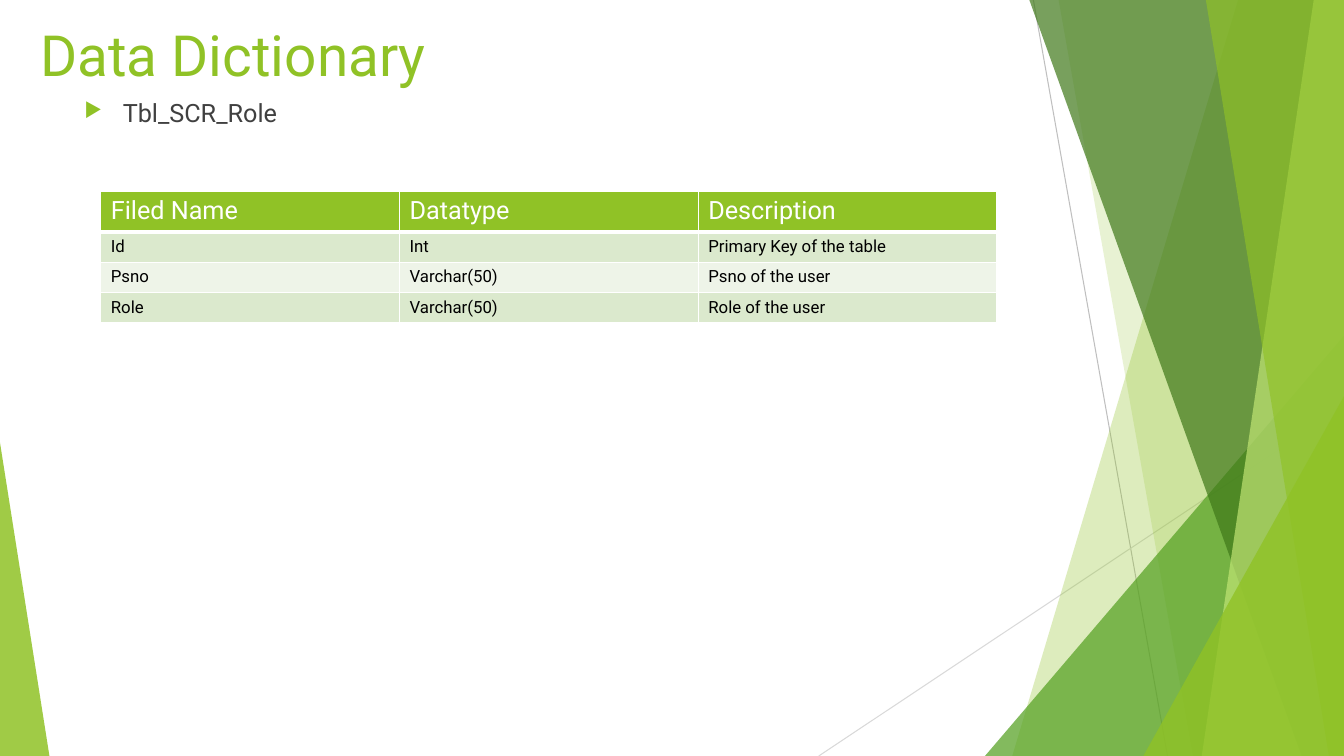
from lxml import etree
from pptx import Presentation
from pptx.dml.color import RGBColor
from pptx.enum.shapes import MSO_CONNECTOR, MSO_SHAPE
from pptx.enum.text import MSO_ANCHOR
from pptx.oxml.ns import qn
from pptx.util import Inches, Pt

STRAIGHT = MSO_CONNECTOR.STRAIGHT
TRIANGLE = MSO_SHAPE.ISOSCELES_TRIANGLE
TOP, BOTTOM = MSO_ANCHOR.TOP, MSO_ANCHOR.BOTTOM

LIME, GREEN, FOREST, PALE = "90C226", "54A021", "3F7819", "C0E474"
WHITE, BLACK, CHARCOAL = "FFFFFF", "000000", "404040"
ROW_TINTS = ["DBE9CD", "EEF4E8"]

HEADER = ["Filed Name", "Datatype", "Description"]
FIELDS = [
    ["Id", "Int", "Primary Key of the table"],
    ["Psno", "Varchar(50)", "Psno of the user"],
    ["Role", "Varchar(50)", "Role of the user"],
]


def rgb(code):
    return RGBColor.from_string(code)


def add_xml(parent, tag, **attributes):
    return etree.SubElement(parent, qn(tag), attributes)


class FacetSlide:
    """Draws on one slide; every length is a percentage of the slide's size."""

    font = "Roboto"

    def __init__(self, deck):
        self.width, self.height = deck.slide_width, deck.slide_height
        self.shapes = deck.slides.add_slide(deck.slide_layouts[6]).shapes

    def x(self, share):
        return round(self.width * share / 100)

    def y(self, share):
        return round(self.height * share / 100)

    def box(self, left, top, width, height):
        return self.x(left), self.y(top), self.x(width), self.y(height)

    def paint(self, facet, color, opacity):
        facet.shadow.inherit = False
        facet.line.fill.background()
        facet.fill.solid()
        facet.fill.fore_color.rgb = rgb(color)
        tone = facet._element.spPr.find(".//" + qn("a:srgbClr"))
        add_xml(tone, "a:alpha", val=str(opacity * 1000))

    def hairline(self, start, end, color):
        hairline = self.shapes.add_connector(
            STRAIGHT, self.x(start[0]), self.y(start[1]), self.x(end[0]), self.y(end[1]))
        hairline.line.color.rgb = rgb(color)
        hairline.line.width = Pt(0.75)
        add_xml(hairline._element.spPr, "a:effectLst")

    def band(self, top_x, bottom_x, color, opacity):
        """Fill from a slanted left edge to the right edge of the slide."""
        outline = self.shapes.build_freeform(self.x(top_x), 0)
        outline.add_line_segments([
            (self.width, 0), (self.width, self.height), (self.x(bottom_x), self.height)])
        self.paint(outline.convert_to_shape(), color, opacity)

    def corner(self, left, top, width, peak, color, opacity):
        """Stand a triangle on the bottom edge, with its peak at 0 (left) or 1 (right)."""
        corner = self.shapes.add_shape(TRIANGLE, *self.box(left, top, width, 100 - top))
        corner.adjustments[0] = peak
        self.paint(corner, color, opacity)

    def add_words(self, paragraph, words, size, color):
        run = paragraph.add_run()
        run.text = words
        formats = {"name": self.font, "size": Pt(size)}
        for attribute, value in formats.items():
            setattr(run.font, attribute, value)
        run.font.color.rgb = rgb(color)

    def text(self, place, words, size, color, anchor):
        frame = self.shapes.add_textbox(*self.box(*place)).text_frame
        formats = {"word_wrap": True, "vertical_anchor": anchor}
        for attribute, value in formats.items():
            setattr(frame, attribute, value)
        paragraph = frame.paragraphs[0]
        self.add_words(paragraph, words, size, color)
        return paragraph

    def bullet(self, place, words, size, color, marker_color):
        paragraph = self.text(place, words, size, color, TOP)
        paragraph.space_before = Pt(10)
        properties = paragraph._p.get_or_add_pPr()
        indent = Inches(0.38)
        properties.set("marL", str(indent))
        properties.set("indent", str(-indent))
        add_xml(add_xml(properties, "a:buClr"), "a:srgbClr", val=marker_color)
        add_xml(properties, "a:buSzPct", val="80000")
        add_xml(properties, "a:buChar", char="▶")

    def cell(self, cell, words, size, color, fill, bottom_border):
        self.add_words(cell.text_frame.paragraphs[0], words, size, color)
        borders = {"a:lnL": 1, "a:lnR": 1, "a:lnT": 1, "a:lnB": bottom_border}
        properties = cell._tc.get_or_add_tcPr()
        for side, points in borders.items():
            border = add_xml(properties, side, w=str(Pt(points)))
            add_xml(add_xml(border, "a:solidFill"), "a:srgbClr", val=WHITE)
        cell.fill.solid()
        cell.fill.fore_color.rgb = rgb(fill)

    def table(self, place, header, rows, header_height, row_height):
        table = self.shapes.add_table(
            len(rows) + 1, len(header), *self.box(*place)).table
        for index, record in enumerate([header, *rows]):
            is_header = index == 0
            table.rows[index].height = self.y(header_height if is_header else row_height)
            look = ((18, WHITE, LIME, 3) if is_header
                    else (12, BLACK, ROW_TINTS[(index - 1) % 2], 1))
            for column, words in enumerate(record):
                self.cell(table.cell(index, column), words, *look)


def main():
    deck = Presentation()
    deck.slide_width, deck.slide_height = Inches(13.33), Inches(7.5)
    slide = FacetSlide(deck)

    slide.hairline((76.89, 0), (86.87, 100), "BFBFBF")
    slide.hairline((100, 53.73), (60.92, 100), "D9D9D9")
    slide.band(92.12, 75.32, LIME, 30)
    slide.band(78.77, 88.75, LIME, 20)
    slide.corner(73.29, 44.4, 26.71, 1, GREEN, 72)
    slide.band(76.59, 96.85, FOREST, 70)
    slide.band(97.75, 89.42, PALE, 70)
    slide.band(89.72, 98.87, LIME, 65)
    slide.corner(85.07, 52.4, 14.93, 1, LIME, 80)
    slide.corner(0, 58.53, 3.68, 0, LIME, 85)

    slide.text((2.25, 1.73, 69, 10.53), "Data Dictionary", 40.5, LIME, BOTTOM)
    slide.bullet((5.55, 12.27, 70.5, 82.67), "Tbl_SCR_Role", 18, CHARCOAL, LIME)
    slide.table((7.5, 25.33, 66.69, 16.4), HEADER, FIELDS, 4.8, 3.87)

    deck.save("out.pptx")


if __name__ == "__main__":
    main()
